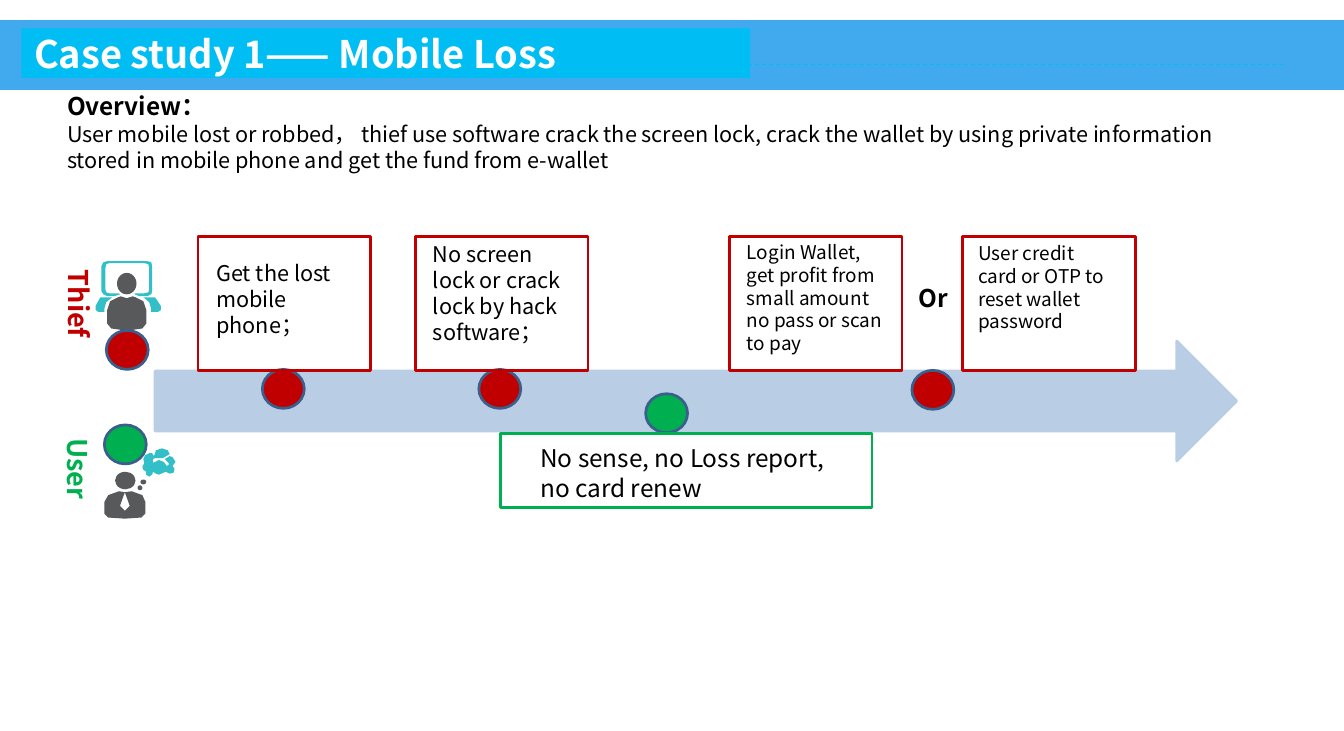
from pptx import Presentation
from pptx.dml.color import RGBColor
from pptx.enum.dml import MSO_LINE
from pptx.enum.shapes import MSO_CONNECTOR, MSO_SHAPE
from pptx.enum.text import MSO_ANCHOR, MSO_AUTO_SIZE, PP_ALIGN
from pptx.oxml.ns import qn
from pptx.util import Inches, Pt
from lxml import etree

FONT = "Noto Sans CJK SC"
COLORS = {"band": "41AAEF", "title": "00BEF3", "white": "FFFFFF", "black": "000000",
          "teal": "33BFC7", "gray": "58595B", "timeline": "B9CDE5", "outline": "3A5F8C",
          "thief": "C00000", "user": "00B050"}
COLORS = {part: RGBColor.from_string(value) for part, value in COLORS.items()}

prs = Presentation()
prs.slide_width, prs.slide_height = Inches(13.78), Inches(7.5)
slide = prs.slides.add_slide(prs.slide_layouts[5])
shapes = slide.shapes


def paint(shape, fill=None, line=None, width=2):
    """Give a shape its fill and line, with None for no fill or no line."""
    shape.shadow.inherit = False
    if fill:
        shape.fill.solid()
        shape.fill.fore_color.rgb = COLORS[fill]
    else:
        shape.fill.background()
    if line:
        shape.line.color.rgb = COLORS[line]
        shape.line.width = Pt(width)
    else:
        shape.line.fill.background()


def write(paragraph, text, size, color="black", bold=False):
    run = paragraph.add_run()
    run.text = text
    run.font.color.rgb = COLORS[color]
    for name, value in {"size": Pt(size), "bold": bold, "name": FONT}.items():
        setattr(run.font, name, value)
    etree.SubElement(run.font._element, qn("a:ea"), typeface=FONT)
    paragraph.alignment = PP_ALIGN.LEFT


# Header band and title
band = shapes.add_shape(MSO_SHAPE.RECTANGLE, 0, Inches(0.21), prs.slide_width, Inches(0.71))
paint(band, "band", "band", 0.25)
rule = shapes.add_connector(MSO_CONNECTOR.STRAIGHT, Inches(2.58), Inches(0.66),
                            Inches(13.17), Inches(0.66))
rule.line.color.rgb = COLORS["title"]
rule.line.width = Pt(0.75)
rule.line.dash_style = MSO_LINE.DASH
etree.SubElement(rule._element.spPr, qn("a:effectLst"))

title = shapes.title
title.element.getparent().append(title.element)  # in front of the band
title.left, title.top, title.width, title.height = map(Inches, (0.22, 0.29, 7.47, 0.51))
title.fill.solid()
title.fill.fore_color.rgb = COLORS["title"]
title_format = {"margin_left": Inches(0.13), "margin_right": Inches(0.13),
                "margin_top": Inches(0.07), "margin_bottom": Inches(0.07),
                "vertical_anchor": MSO_ANCHOR.MIDDLE, "auto_size": MSO_AUTO_SIZE.NONE}
for name, value in title_format.items():
    setattr(title.text_frame, name, value)
write(title.text_frame.paragraphs[0], "Case study 1—— Mobile Loss", 28, "white", True)

# Thief and user icons, outlines in hundredths of an inch
icon_outlines = [
    ("teal", [(165, 314), (159, 305), (147, 305), (153, 310), (155, 317), (155, 320),
              (162, 320), (165, 318)]),
    ("gray", [(139, 305), (136, 304), (130, 306), (124, 304), (121, 305), (113, 309),
              (110, 318), (110, 332), (114, 337), (128, 339), (132, 339), (146, 337),
              (150, 332), (150, 318), (147, 309)]),
    ("teal", [(115, 305), (103, 305), (98, 314), (98, 318), (101, 320), (107, 320),
              (107, 317), (109, 310)]),
    ("teal", [(110, 304), (117, 304), (123, 302), (122, 301), (112, 301), (109, 300),
              (108, 297), (108, 275), (109, 271), (112, 270), (148, 270), (152, 271),
              (153, 275), (153, 297), (152, 300), (148, 301), (138, 301), (138, 302),
              (143, 304), (151, 304), (155, 302), (156, 299), (156, 273), (155, 269),
              (151, 268), (110, 268), (106, 269), (104, 273), (104, 299), (106, 302)]),
    ("teal", [(177, 478), (180, 474), (177, 469), (174, 468), (169, 471), (173, 475),
              (173, 477), (171, 478), (168, 474), (163, 472), (157, 475), (157, 471),
              (159, 470), (167, 470), (174, 466), (172, 462), (166, 460), (160, 462),
              (158, 468), (156, 465), (153, 465), (149, 467), (147, 471), (148, 475),
              (146, 479), (147, 482), (150, 484), (150, 487), (153, 489), (156, 487),
              (157, 484), (160, 486), (163, 487), (170, 484), (174, 486), (178, 485),
              (179, 481)]),
    ("gray", [(135, 504), (128, 505), (133, 519), (128, 524), (123, 519), (128, 505),
              (122, 504), (111, 508), (107, 515), (107, 527), (111, 531), (126, 532),
              (130, 532), (145, 531), (149, 527), (149, 515), (146, 508)]),
]
for color, points in icon_outlines:
    builder = shapes.build_freeform(*points[0], scale=Inches(0.01))
    builder.add_line_segments(points[1:], close=True)
    paint(builder.convert_to_shape(), color)

heads_and_bubbles = [(1.2, 2.8, 0.2, 0.22), (1.44, 4.92, 0.06, 0.05),
                     (1.41, 4.98, 0.05, 0.05), (1.18, 4.84, 0.21, 0.18)]
for place in heads_and_bubbles:
    paint(shapes.add_shape(MSO_SHAPE.OVAL, *map(Inches, place)), "gray")

# Timeline with event markers and step frames
timeline = shapes.add_shape(MSO_SHAPE.RIGHT_ARROW, Inches(1.59), Inches(3.5),
                            Inches(11.09), Inches(1.23))
paint(timeline, "timeline", "timeline")

markers = [(2.69, 3.79, "thief"), (4.91, 3.79, "thief"), (9.35, 3.8, "thief"),
           (1.09, 3.39, "thief"), (6.62, 4.04, "user"), (1.07, 4.36, "user")]
for left, top, actor in markers:
    marker = shapes.add_shape(MSO_SHAPE.OVAL, Inches(left), Inches(top),
                              Inches(0.43), Inches(0.4))
    paint(marker, actor, "outline")

step_frames = [(left, 2.43, 1.77, 1.37, "thief") for left in (2.03, 4.26, 7.48, 9.87)]
for *place, actor in step_frames + [(5.13, 4.45, 3.81, 0.76, "user")]:
    paint(shapes.add_shape(MSO_SHAPE.RECTANGLE, *map(Inches, place)), line=actor)

# Texts: place, then paragraphs as (text, size, color, bold)
overview = ("User mobile lost or robbed， thief use software crack the screen lock, crack the "
            "wallet by using private information stored in mobile phone and get the fund "
            "from e-wallet")
texts = [
    ((0.59, 0.89, 12.35, 0.94), [("Overview：", 18, "black", True), (overview, 16)]),
    ((2.12, 2.62, 1.59, 0.91), [("Get the lost mobile phone；", 16)]),
    ((4.34, 2.42, 1.59, 1.18), [("No screen lock or crack lock by hack software；", 16)]),
    ((7.56, 2.42, 1.59, 1.28),
     [("Login Wallet, get profit from small amount no pass or scan to pay", 14)]),
    ((9.32, 2.86, 0.62, 0.4), [("Or", 18, "black", True)]),
    ((9.93, 2.43, 1.59, 1.04), [("User credit card or OTP to reset wallet password", 14)]),
    ((5.44, 4.5, 3.15, 1.01), [("No sense, no Loss report, no card renew", 18)]),
    ((0.49, 2.67, 0.54, 1.17), [("Thief", 20, "thief", True)]),
    ((0.48, 4.4, 0.54, 1.17), [("User", 20, "user", True)]),
]
for place, paragraphs in texts:
    frame = shapes.add_textbox(*map(Inches, place)).text_frame
    frame.word_wrap = True
    for index, content in enumerate(paragraphs):
        write(frame.add_paragraph() if index else frame.paragraphs[0], *content)
    if content[0] in ("Thief", "User"):
        frame._txBody.bodyPr.set("vert", "eaVert")

prs.save("out.pptx")
